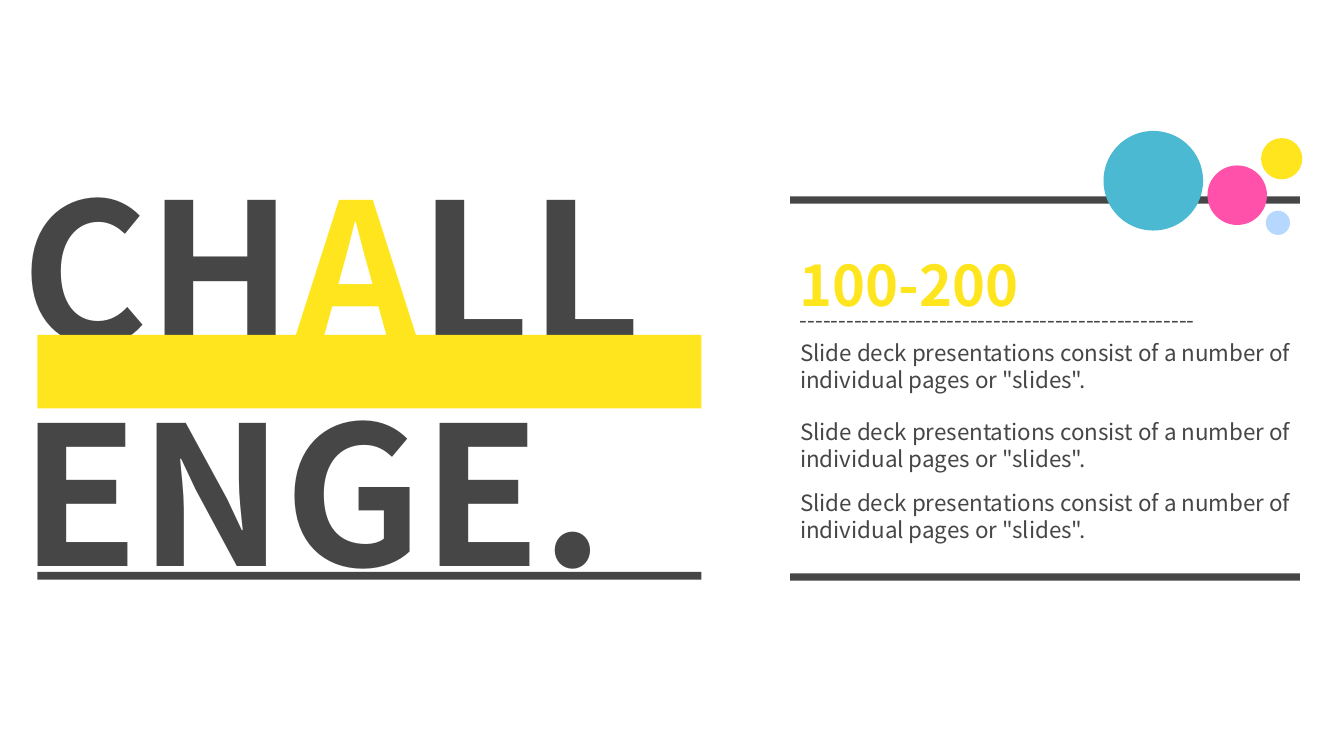
from lxml import etree
from pptx import Presentation
from pptx.dml.color import RGBColor
from pptx.enum.shapes import MSO_SHAPE
from pptx.enum.text import MSO_ANCHOR, MSO_AUTO_SIZE, PP_ALIGN
from pptx.oxml.ns import qn
from pptx.util import Cm, Pt

RECT, OVAL = MSO_SHAPE.RECTANGLE, MSO_SHAPE.OVAL
TOP, LEFT, FIXED = MSO_ANCHOR.TOP, PP_ALIGN.LEFT, MSO_AUTO_SIZE.NONE
DARK = RGBColor(0x46, 0x46, 0x46)
YELLOW = RGBColor(0xFF, 0xE5, 0x1E)
TEAL = RGBColor(0x4B, 0xB9, 0xD2)
PINK = RGBColor(0xFF, 0x51, 0xAA)
PALE = RGBColor(0xB6, 0xD7, 0xFE)
FONT = "Noto Sans CJK SC"
NOTE = 'Slide deck presentations consist of a number of individual pages or "slides".'


def place(shape, x, y, w, h):
    shape.left, shape.top, shape.width, shape.height = Cm(x), Cm(y), Cm(w), Cm(h)
    return shape


def write(shape, *lines, size=16, color=DARK, bold=False, wrap=True, gaps=()):
    """Fill a shape; each line is a string or a list of (text, colour) runs."""
    frame = shape.text_frame
    frame.word_wrap, frame.auto_size = wrap, FIXED
    frame.vertical_anchor = TOP
    for i, line in enumerate(lines):
        para = frame.paragraphs[0] if i == 0 else frame.add_paragraph()
        props = para._p.get_or_add_pPr()
        props.set("marL", "0")
        props.set("indent", "0")
        etree.SubElement(props, qn("a:buNone"))
        para.alignment = LEFT
        para.line_spacing = Pt(size * 1.2)
        para.space_before = Pt(gaps[i - 1] if i else 0)
        for text, tint in [(line, color)] if isinstance(line, str) else line:
            run = para.add_run()
            run.text = text
            font = run.font
            font.name, font.size, font.bold = FONT, Pt(size), bold
            font.color.rgb = tint


def add_text(slide, box, text, **style):
    write(slide.shapes.add_textbox(*map(Cm, box)), text, **style)


def add_fill(shapes, kind, box, color):
    shape = shapes.add_shape(kind, *map(Cm, box))
    shape.shadow.inherit = False
    shape.fill.solid()
    shape.fill.fore_color.rgb = color
    shape.line.fill.background()


def add_head(slide, x, y, w, h):
    title = place(slide.shapes.title, x, y, w + 0.66, 6.15)
    write(title, [("CH", DARK), ("A", YELLOW), ("LL", DARK)], size=138, bold=True)
    add_text(slide, (x, y + 5.62, 15.47, 6.15), "ENGE.", size=138, bold=True, wrap=False)
    add_fill(slide.shapes, RECT, (x + 0.66, y + h - 0.2, w, 0.2), DARK)
    add_fill(slide.shapes, RECT, (x + 0.66, y + 4.78, w, 1.85), YELLOW)


def add_dots(slide, x, y):
    group = slide.shapes.add_group_shape()
    for dx, dy, size, color in ((0, 0, 2.51, TEAL), (2.62, 0.87, 1.5, PINK),
                                (3.97, 0.18, 1.04, YELLOW), (4.09, 2.01, 0.61, PALE)):
        add_fill(group.shapes, OVAL, (x + dx, y + dy, size, size), color)


def add_notes(slide, x, y, w, h):
    for top in (y, y + h - 0.18):
        add_fill(slide.shapes, RECT, (x, top, w, 0.18), DARK)
    add_text(slide, (x, y + 1.25, 6.4, 1.96), "100-200",
             size=40, color=YELLOW, bold=True, wrap=False)
    add_text(slide, (x, y + 2.64, w + 0.05, 0.94), "-" * 51)
    body = place(slide.placeholders[1], x, y + 3.48, w + 0.54, 5.38)
    write(body, NOTE, NOTE, NOTE, gaps=(17.8, 12))
    add_dots(slide, x + 7.9, y - 1.65)


def main():
    deck = Presentation()
    deck.slide_width, deck.slide_height = Cm(33.87), Cm(19.05)
    slide = deck.slides.add_slide(deck.slide_layouts[1])
    add_head(slide, 0.28, 3.66, 16.74, 10.95)
    add_notes(slide, 19.91, 4.95, 12.85, 9.68)
    deck.save("out.pptx")


if __name__ == "__main__":
    main()
